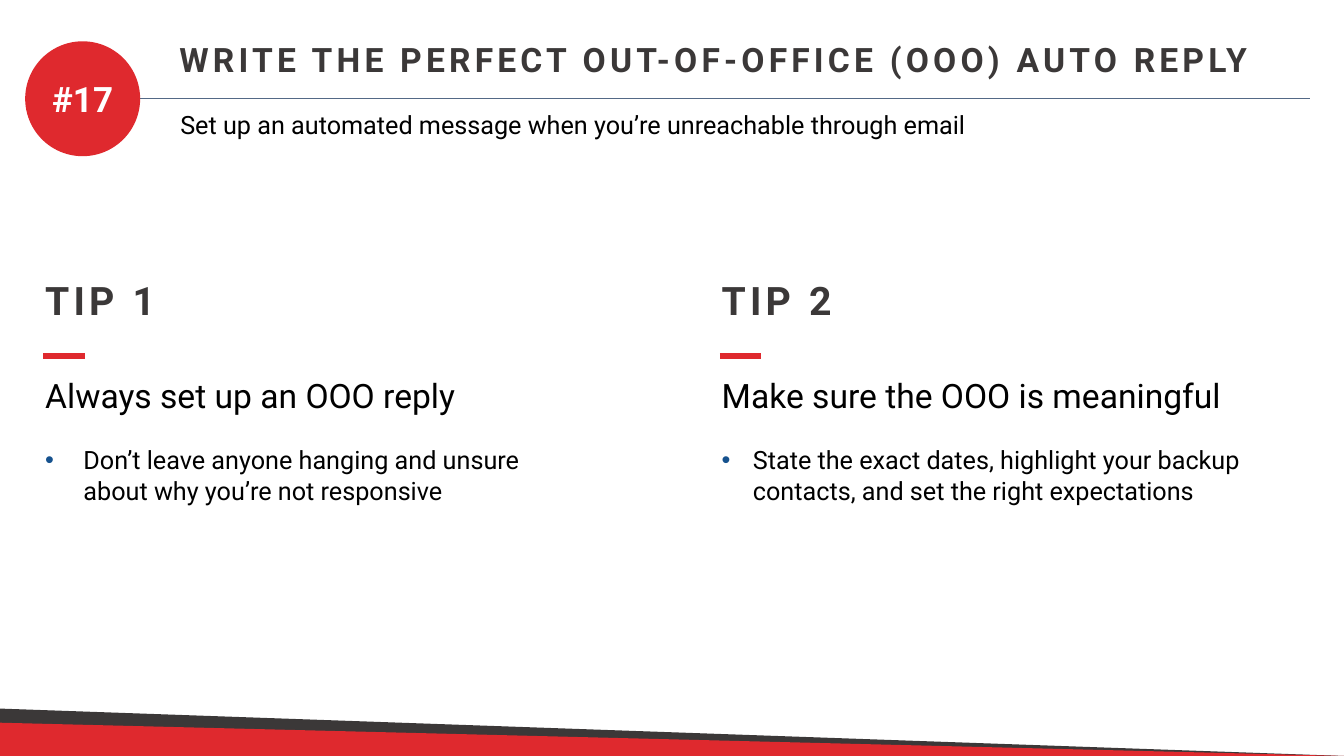
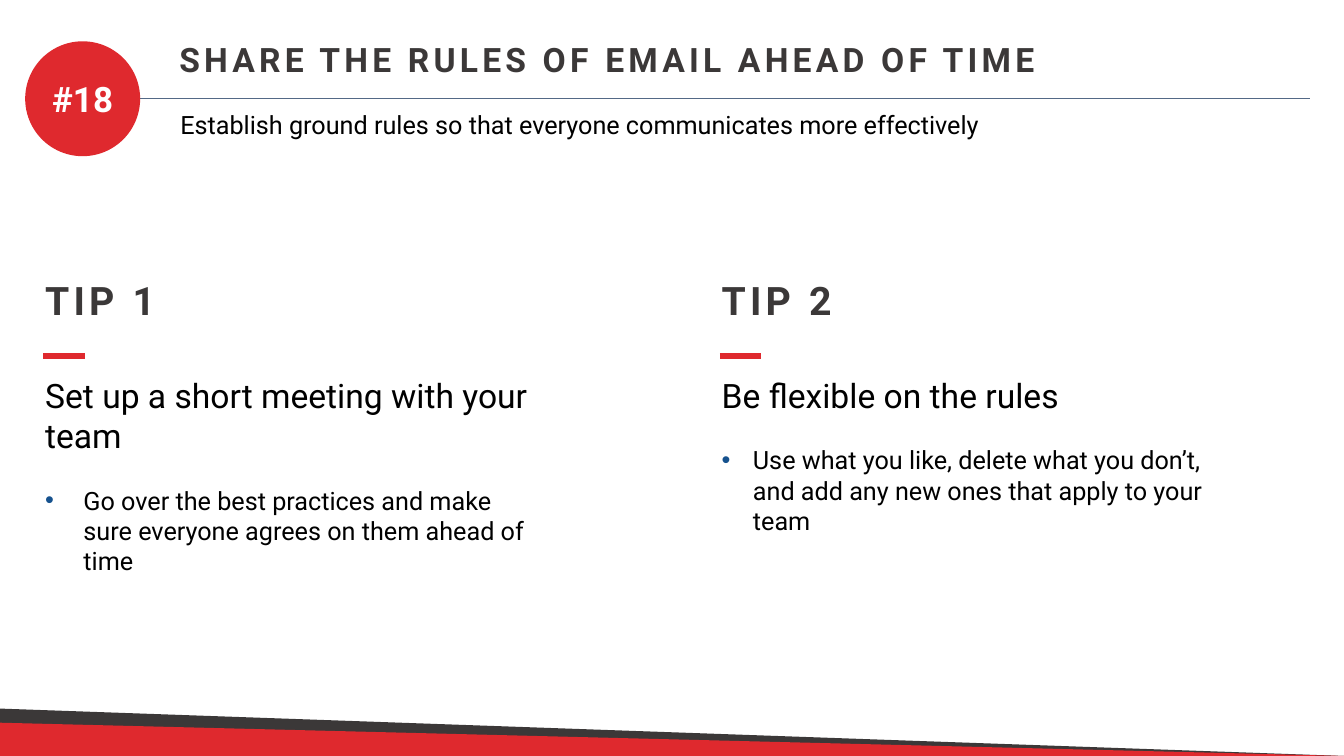
from lxml import etree
from pptx import Presentation
from pptx.dml.color import RGBColor
from pptx.enum.shapes import MSO_CONNECTOR, MSO_SHAPE
from pptx.enum.text import MSO_ANCHOR, PP_ALIGN
from pptx.oxml.ns import qn
from pptx.util import Inches, Pt

RED = RGBColor(0xDF, 0x29, 0x2E)
CHARCOAL = RGBColor(0x3B, 0x38, 0x38)
SLATE = RGBColor(0x53, 0x69, 0x86)
BLACK = RGBColor(0x00, 0x00, 0x00)
WHITE = RGBColor(0xFF, 0xFF, 0xFF)
BULLET_BLUE = RGBColor(0x16, 0x52, 0x8E)

STRAIGHT = MSO_CONNECTOR.STRAIGHT
OVAL = MSO_SHAPE.OVAL
WEDGE = MSO_SHAPE.RIGHT_TRIANGLE
MIDDLE = MSO_ANCHOR.MIDDLE
CENTER = PP_ALIGN.CENTER

FONT = "Roboto"
WIDTH, HEIGHT = 13.33, 7.5
INSET = 0.08
BADGE = 1.14
RULE_Y = 0.98
HEADING_TOP, DASH_Y, BODY_TOP = 2.69, 3.53, 3.67
DASH_WIDTH = 0.41
WEDGES = [(0.47, CHARCOAL), (0.33, RED)]
COLUMNS = [
    {"left": 0.35, "width": 5.0, "indent": 0.38},
    {"left": 7.06, "width": 5.37, "indent": 0.31},
]

SLIDES = [
    {
        "number": "#17",
        "title": "WRITE THE PERFECT OUT-OF-OFFICE (OOO) AUTO REPLY",
        "subtitle": "Set up an automated message when you’re unreachable through email",
        "tips": [
            ("Always set up an OOO reply",
             "Don’t leave anyone hanging and unsure about why you’re not responsive"),
            ("Make sure the OOO is meaningful",
             "State the exact dates, highlight your backup contacts, and set the right expectations"),
        ],
    },
    {
        "number": "#18",
        "title": "SHARE THE RULES OF EMAIL AHEAD OF TIME",
        "subtitle": "Establish ground rules so that everyone communicates more effectively",
        "tips": [
            ("Set up a short meeting with your team",
             "Go over the best practices and make sure everyone agrees on them ahead of time"),
            ("Be flexible on the rules",
             "Use what you like, delete what you don’t, and add any new ones that apply to your team"),
        ],
    },
]


def style(para, size, color, bold=False, spacing=0):
    for span in para.runs:
        span.font.name = FONT
        span.font.size = Pt(size)
        span.font.color.rgb = color
        span.font.bold = bold
        if spacing:
            span._r.get_or_add_rPr().set("spc", str(spacing * 100))


def add_text(page, left, top, width, height, text, size, color, wrap=True, **look):
    box = page.shapes.add_textbox(Inches(left), Inches(top), Inches(width), Inches(height))
    frame = box.text_frame
    frame.word_wrap = wrap
    frame.text = text
    style(frame.paragraphs[0], size, color, **look)
    return frame


def add_line(page, left, right, y, color, weight):
    line = page.shapes.add_connector(STRAIGHT, Inches(left), Inches(y), Inches(right), Inches(y))
    line.line.color.rgb = color
    line.line.width = Pt(weight)
    etree.SubElement(line._element.spPr, qn("a:effectLst"))


def add_filled(page, kind, left, top, width, height, color):
    shape = page.shapes.add_shape(kind, Inches(left), Inches(top), Inches(width), Inches(height))
    shape.shadow.inherit = False
    shape.fill.solid()
    shape.fill.fore_color.rgb = color
    shape.line.fill.background()
    return shape


def set_bullet(para, indent):
    properties = para._p.get_or_add_pPr()
    properties.set("marL", str(Inches(indent)))
    properties.set("indent", str(-Inches(indent)))
    color = etree.SubElement(properties, qn("a:buClr"))
    etree.SubElement(color, qn("a:srgbClr")).set("val", str(BULLET_BLUE))
    etree.SubElement(properties, qn("a:buFont")).set("typeface", "Arial")
    etree.SubElement(properties, qn("a:buChar")).set("char", "•")


def add_header(page, content):
    add_text(page, 1.68, 0.34, 11.22, 0.5, content["title"], 24, CHARCOAL,
             wrap=False, bold=True, spacing=3)
    add_line(page, 0.35, 12.99, RULE_Y, SLATE, 0.5)
    badge = add_filled(page, OVAL, 0.25, RULE_Y - BADGE / 2, BADGE, BADGE, RED)
    frame = badge.text_frame
    frame.margin_left = frame.margin_right = 0
    frame.word_wrap = False
    frame.vertical_anchor = MIDDLE
    frame.text = content["number"]
    frame.paragraphs[0].alignment = CENTER
    style(frame.paragraphs[0], 25, WHITE, bold=True)
    add_text(page, 1.69, 1.04, 10.2, 0.4, content["subtitle"], 18, BLACK)


def add_tip(page, number, column, headline, advice):
    left = column["left"]
    add_text(page, left, HEADING_TOP, 1.33, 0.57, f"TIP {number}", 28, CHARCOAL,
             wrap=False, bold=True, spacing=3)
    add_line(page, left + INSET, left + INSET + DASH_WIDTH, DASH_Y, RED, 4.5)
    frame = add_text(page, left, BODY_TOP, column["width"], 1.72, headline, 24, BLACK)
    para = frame.add_paragraph()
    para.text = advice
    set_bullet(para, column["indent"])
    para.space_before = Pt(21)
    style(para, 18, BLACK)


def add_footer(page):
    for height, color in WEDGES:
        add_filled(page, WEDGE, 0, HEIGHT - height, WIDTH, height, color)


def main():
    deck = Presentation()
    deck.slide_width, deck.slide_height = Inches(WIDTH), Inches(HEIGHT)
    for content in SLIDES:
        page = deck.slides.add_slide(deck.slide_layouts[6])
        add_header(page, content)
        for number, (column, tip) in enumerate(zip(COLUMNS, content["tips"]), 1):
            add_tip(page, number, column, *tip)
        add_footer(page)
    deck.save("out.pptx")


if __name__ == "__main__":
    main()
